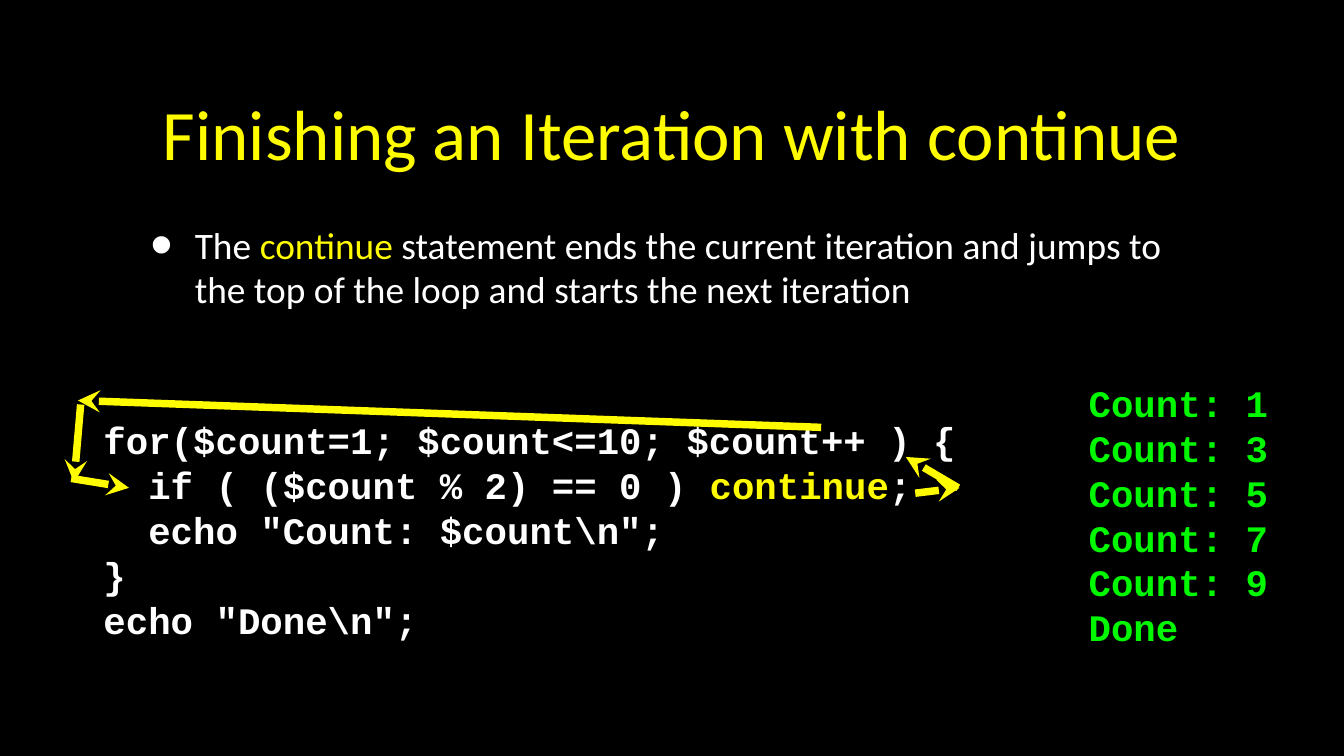
from lxml import etree
from pptx import Presentation
from pptx.dml.color import RGBColor
from pptx.enum.shapes import MSO_CONNECTOR
from pptx.enum.text import MSO_ANCHOR, MSO_AUTO_SIZE, PP_ALIGN
from pptx.oxml.ns import qn
from pptx.util import Inches, Pt

STRAIGHT = MSO_CONNECTOR.STRAIGHT
TOP, MIDDLE = MSO_ANCHOR.TOP, MSO_ANCHOR.MIDDLE
NO_AUTOFIT = MSO_AUTO_SIZE.NONE
CENTER = PP_ALIGN.CENTER

COLORS = {
    "background": "000000",
    "text": "FFFFFF",
    "accent": "FFFB00",
    "output": "00F900",
}
TITLE = {"name": "Calibri", "size": Pt(38), "bold": False}
BODY = {"name": "Calibri", "size": Pt(20), "bold": False}
CODE = {"name": "Courier New", "size": Pt(20), "bold": True}


class SlideBuilder:
    def __init__(self, slide):
        self.slide = slide
        self.background(COLORS["background"])

    def background(self, color):
        fill = self.slide.background.fill
        fill.solid()
        fill.fore_color.rgb = RGBColor.from_string(color)

    def frame(self, shape, box, anchor, inset):
        shape.left, shape.top, shape.width, shape.height = map(Inches, box)
        text_frame = shape.text_frame
        settings = {"word_wrap": True, "auto_size": NO_AUTOFIT, "vertical_anchor": anchor}
        for side in ("left", "top", "right", "bottom"):
            settings[f"margin_{side}"] = Inches(inset)
        for name, value in settings.items():
            setattr(text_frame, name, value)
        return text_frame

    def runs(self, paragraph, parts, style):
        """Add (text, colour name) parts to a paragraph."""
        for text, color in parts:
            run = paragraph.add_run()
            run.text = text
            for name, value in style.items():
                setattr(run.font, name, value)
            run.font.color.rgb = RGBColor.from_string(COLORS[color])

    def title(self, text, box):
        heading = self.frame(self.slide.shapes.title, box, MIDDLE, 0.06).paragraphs[0]
        heading.alignment = CENTER
        self.runs(heading, [(text, "accent")], TITLE)

    def text(self, lines, box, style, anchor=MIDDLE, inset=0.03):
        shape = self.slide.shapes.add_textbox(*map(Inches, box))
        text_frame = self.frame(shape, box, anchor, inset)
        for index, parts in enumerate(lines):
            paragraph = text_frame.add_paragraph() if index else text_frame.paragraphs[0]
            self.runs(paragraph, parts, style)
        return text_frame

    def bullet(self, parts, box):
        paragraph = self.text([parts], box, BODY, TOP, 0.06).paragraphs[0]
        properties = paragraph._p.get_or_add_pPr()
        properties.set("marL", str(Inches(0.46)))
        properties.set("indent", str(Inches(-0.33)))
        bullet_color = etree.SubElement(properties, qn("a:buClr"))
        etree.SubElement(bullet_color, qn("a:srgbClr"), val=COLORS["text"])
        etree.SubElement(properties, qn("a:buSzPct"), val="171000")
        etree.SubElement(properties, qn("a:buFont"), typeface="Arial")
        etree.SubElement(properties, qn("a:buChar"), char="•")

    def arrow(self, tail, tip):
        connector = self.slide.shapes.add_connector(STRAIGHT, *map(Inches, (*tail, *tip)))
        connector.line.width = Pt(4)
        connector.line.color.rgb = RGBColor.from_string(COLORS["accent"])
        etree.SubElement(connector.line._get_or_add_ln(), qn("a:tailEnd"), type="stealth")
        etree.SubElement(connector._element.spPr, qn("a:effectLst"))


def main():
    presentation = Presentation()
    presentation.slide_width = Inches(10)
    presentation.slide_height = presentation.slide_width * 9 // 16
    title_only = presentation.slide_layouts[5]
    builder = SlideBuilder(presentation.slides.add_slide(title_only))

    builder.title("Finishing an Iteration with continue", (0.93, 0.4, 8.14, 1.16))
    builder.bullet(
        [
            ("The ", "text"),
            ("continue", "accent"),
            (" statement ends the current iteration and jumps to the top of the loop "
             "and starts the next iteration", "text"),
        ],
        (0.93, 1.59, 8.14, 1.01),
    )

    loop_code = [
        [("for($count=1; $count<=10; $count++ ) {", "text")],
        [("  if ( ($count % 2) == 0 ) ", "text"), ("continue", "accent"), (";", "text")],
        [('  echo "Count: $count\\n";', "text")],
        [("}", "text")],
        [('echo "Done\\n";', "text")],
    ]
    builder.text(loop_code, (0.74, 3.07, 8.92, 1.74), CODE)

    continue_to_increment = [((6.81, 3.67), (7.14, 3.63)), ((7.13, 3.63), (6.74, 3.4))]
    for tail, tip in continue_to_increment:
        builder.arrow(tail, tip)

    printed = [f"Count: {count}" for count in range(1, 10, 2)] + ["Done"]
    builder.text([[(line, "output")] for line in printed], (8.07, 2.79, 1.59, 2.08), CODE)

    increment_to_test = [
        ((6.11, 3.18), (0.58, 2.98)),
        ((0.6, 3.01), (0.55, 3.59)),
        ((0.53, 3.56), (0.96, 3.63)),
    ]
    for tail, tip in increment_to_test:
        builder.arrow(tail, tip)

    presentation.save("out.pptx")


if __name__ == "__main__":
    main()
